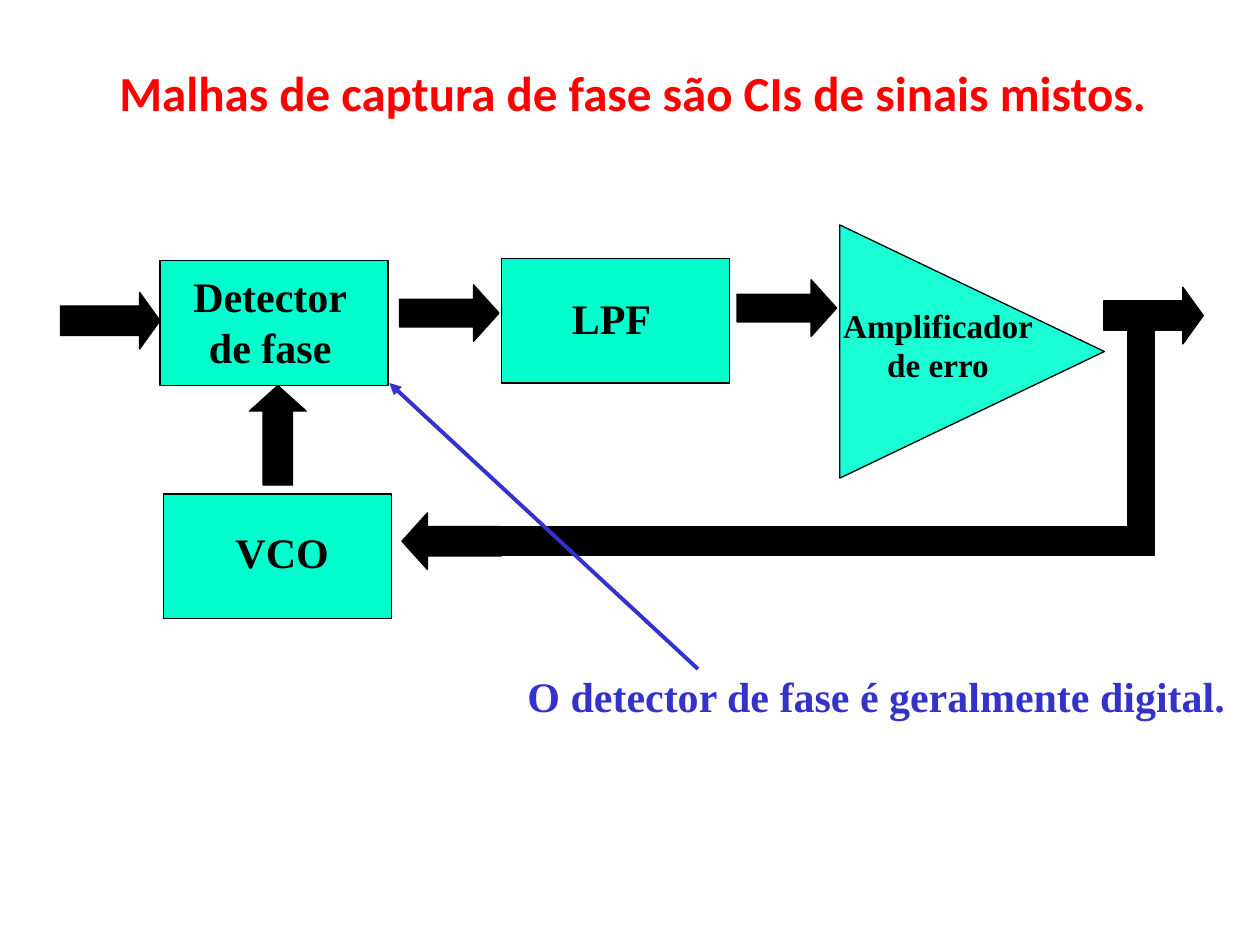
from lxml.etree import SubElement
from pptx import Presentation
from pptx.dml.color import RGBColor
from pptx.enum.shapes import MSO_CONNECTOR, MSO_SHAPE
from pptx.enum.text import MSO_AUTO_SIZE, PP_ALIGN
from pptx.oxml.ns import qn
from pptx.util import Inches, Pt

BLACK = RGBColor(0, 0, 0)
RED = RGBColor(255, 0, 0)
BLUE = RGBColor(0x33, 0x33, 0xCC)
AQUA = RGBColor(0, 0xFF, 0xCC)
MINT = RGBColor(0x1B, 0xFF, 0xD4)
COLS, ROWS = 100, 75


def write(frame, text, size=24, font="Times New Roman", color=BLACK, align=PP_ALIGN.CENTER):
    frame.word_wrap = False
    frame.auto_size = MSO_AUTO_SIZE.SHAPE_TO_FIT_TEXT
    frame.text = text
    for para in frame.paragraphs:
        para.alignment = align
        para.font.size = Pt(size)
        para.font.name = font
        para.font.bold = True
        para.font.color.rgb = color


class Sketch:
    """Draws styled elements on a slide, placed in columns and rows of a grid."""

    def __init__(self, deck):
        self.slide = deck.slides.add_slide(deck.slide_layouts[6])
        self.shapes = self.slide.shapes
        self.cell_w = deck.slide_width / COLS
        self.cell_h = deck.slide_height / ROWS

    def place(self, col, row, wide, high):
        return (round(col * self.cell_w), round(row * self.cell_h),
                round(wide * self.cell_w), round(high * self.cell_h))

    def shape(self, kind, area, fill=BLACK, turn=0, adjust=()):
        item = self.shapes.add_shape(kind, *self.place(*area))
        item.shadow.inherit = False
        item.fill.solid()
        item.fill.fore_color.rgb = fill
        item.line.color.rgb = BLACK
        item.line.width = Pt(0.75)
        item.rotation = turn
        for spot, value in enumerate(adjust):
            item.adjustments[spot] = value

    def label(self, text, area, **style):
        write(self.shapes.add_textbox(*self.place(*area)).text_frame, text, **style)

    def block(self, col, row, text, area, **style):
        self.shape(MSO_SHAPE.RECTANGLE, (col, row, 18.1, 9.9), AQUA)
        self.label(text, area, **style)

    def arrow(self, col, row, turn=0, shaft=0.52, head=0.45):
        self.shape(MSO_SHAPE.RIGHT_ARROW, (col, row, 7.9, 4.5), turn=turn, adjust=(shaft, head))

    def pointer(self, start, end):
        line = self.shapes.add_connector(MSO_CONNECTOR.STRAIGHT, *self.place(*start, *end))
        line.line.color.rgb = BLUE
        line.line.width = Pt(2.25)
        SubElement(line.line._get_or_add_ln(), qn("a:tailEnd"), type="triangle")
        SubElement(line._element.spPr, qn("a:effectLst"))


def main():
    deck = Presentation()
    deck.slide_width, deck.slide_height = Inches(10), Inches(7.5)
    pen = Sketch(deck)

    pen.shape(MSO_SHAPE.ISOSCELES_TRIANGLE, (67.1, 17.4, 20.1, 21), MINT, turn=90, adjust=(0.5,))
    pen.label("Amplificador\nde erro", (65.6, 23.7, 17.7, 7.4), size=19)
    pen.block(12.7, 20.7, "Detector\nde fase", (14.3, 21, 14.3, 9))
    pen.block(39.8, 20.5, "LPF", (44.4, 22.7, 8.4, 5), align=PP_ALIGN.LEFT)
    pen.block(13, 39.2, "VCO", (17.7, 41.3, 9.5, 5), align=PP_ALIGN.LEFT)

    pen.arrow(31.7, 22.6, shaft=0.49)
    pen.arrow(58.5, 22.2, shaft=0.49)
    pen.arrow(4.8, 23.2, head=0.36)
    pen.arrow(87.6, 22.8, head=0.36)
    pen.arrow(18.1, 32.3, turn=270)
    pen.arrow(31.9, 40.7, turn=180)
    for area in ((89.5, 25.3, 2.1, 18.7), (37.2, 41.8, 54.4, 2.3)):
        pen.shape(MSO_SHAPE.RECTANGLE, area)

    pen.label("Malhas de captura de fase são CIs de sinais mistos.", (8.5, 4.5, 84.7, 5.7),
              size=28, font="Calibri", color=RED, align=PP_ALIGN.LEFT)
    pen.label("O detector de fase é geralmente digital.", (40.8, 52.7, 57.5, 5), color=BLUE)
    pen.pointer((55.4, 53.1), (30.9, 30.4))
    deck.save("out.pptx")


if __name__ == "__main__":
    main()
